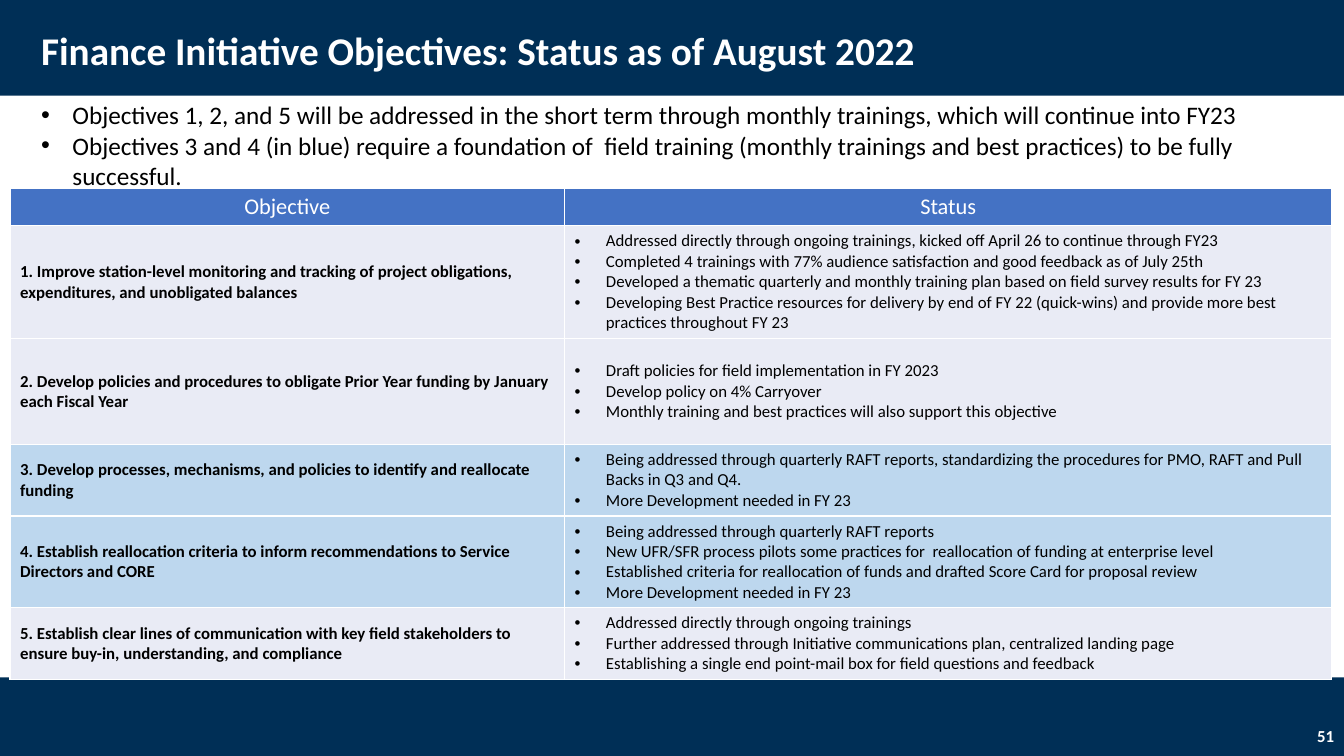
"""Build the finance initiative status slide."""
from dataclasses import dataclass

import pptx
import pptx.dml.color
import pptx.enum.shapes
import pptx.enum.text
import pptx.oxml.ns
import pptx.slide
import pptx.text.text
import pptx.util
from lxml import etree

EMU_PER_PX = 9144
ALIGN = pptx.enum.text.PP_ALIGN
ANCHOR = pptx.enum.text.MSO_ANCHOR


@dataclass(frozen=True)
class Theme:
    """Colours, font and type sizes of the slide."""
    font: str = "Calibri"
    navy: str = "002F56"
    header: str = "4472C4"
    pale: str = "E9EBF5"
    blue: str = "BDD7EE"
    white: str = "FFFFFF"
    black: str = "000000"
    title_size: int = 28
    intro_size: int = 18
    header_size: int = 16
    body_size: int = 12


@dataclass(frozen=True)
class Box:
    """A rectangle in px."""
    left: int
    top: int
    width: int
    height: int

    def emu(self) -> tuple[int, ...]:
        """Return the four lengths in EMU."""
        return tuple(map(px, (self.left, self.top, self.width, self.height)))


@dataclass(frozen=True)
class Objective:
    """One row of the status table."""
    goal: str
    status: tuple[str, ...]
    height: int
    fill: str


THEME = Theme()
SLIDE_WIDTH, SLIDE_HEIGHT = 1333, 750
BANDS = (Box(0, 0, SLIDE_WIDTH, 95), Box(0, 672, SLIDE_WIDTH, 78))
TITLE_BOX = Box(31, 18, 1285, 68)
INTRO_BOX = Box(31, 94, 1269, 101)
NUMBER_BOX = Box(1033, 710, 300, 40)
TABLE_LEFT, TABLE_TOP = 10, 187
COLUMN_WIDTHS = (550, 761)
HEADER_HEIGHT = 37
BULLET_INDENT = 31

INTRO = (
    "Objectives 1, 2, and 5 will be addressed in the short term through monthly trainings, "
    "which will continue into FY23",
    "Objectives 3 and 4 (in blue) require a foundation of  field training (monthly trainings "
    "and best practices) to be fully successful.",
)
OBJECTIVES = (
    Objective(
        "1. Improve station-level monitoring and tracking of project obligations, "
        "expenditures, and unobligated balances",
        ("Addressed directly through ongoing trainings, kicked off April 26 to continue through FY23",
         "Completed 4 trainings with 77% audience satisfaction and good feedback as of July 25th",
         "Developed a thematic quarterly and monthly training plan based on field survey results for FY 23",
         "Developing Best Practice resources for delivery by end of FY 22 (quick-wins) and provide "
         "more best practices throughout FY 23"),
        112, THEME.pale),
    Objective(
        "2. Develop policies and procedures to obligate Prior Year funding by January each Fiscal Year",
        ("Draft policies for field implementation in FY 2023",
         "Develop policy on 4% Carryover",
         "Monthly training and best practices will also support this objective"),
        105, THEME.pale),
    Objective(
        "3. Develop processes, mechanisms, and policies to identify and reallocate funding",
        ("Being addressed through quarterly RAFT reports, standardizing the procedures for PMO, "
         "RAFT and Pull Backs in Q3 and Q4.",
         "More Development needed in FY 23"),
        71, THEME.blue),
    Objective(
        "4. Establish reallocation criteria to inform recommendations to Service Directors and CORE",
        ("Being addressed through quarterly RAFT reports",
         "New UFR/SFR process pilots some practices for  reallocation of funding at enterprise level",
         "Established criteria for reallocation of funds and drafted Score Card for proposal review",
         "More Development needed in FY 23"),
        91, THEME.blue),
    Objective(
        "5. Establish clear lines of communication with key field stakeholders to ensure buy-in, "
        "understanding, and compliance",
        ("Addressed directly through ongoing trainings",
         "Further addressed through Initiative communications plan, centralized landing page",
         "Establishing a single end point-mail box for field questions and feedback"),
        71, THEME.pale),
)


def px(length: int) -> int:
    """Convert px to EMU."""
    return pptx.util.Emu(length * EMU_PER_PX)


def rgb(colour: str) -> pptx.dml.color.RGBColor:
    """Convert a hex string to a colour."""
    return pptx.dml.color.RGBColor.from_string(colour)


def add_bullet(paragraph) -> None:
    """Give a paragraph a hanging round bullet."""
    properties = paragraph._p.get_or_add_pPr()
    properties.set("marL", str(px(BULLET_INDENT)))
    properties.set("indent", str(-px(BULLET_INDENT)))
    qn = pptx.oxml.ns.qn
    etree.SubElement(properties, qn("a:buFont"), typeface="Arial")
    etree.SubElement(properties, qn("a:buChar"), char="•")


def write(frame: pptx.text.text.TextFrame, *lines: str, size: int, colour: str = THEME.black,
          bold: bool = False, bullets: bool = False, align: ALIGN = ALIGN.LEFT,
          spacing: float | None = None) -> None:
    """Fill a text frame with one paragraph per line."""
    frame.word_wrap = True
    for index, line in enumerate(lines):
        paragraph = frame.add_paragraph() if index else frame.paragraphs[0]
        if bullets:
            add_bullet(paragraph)
        paragraph.alignment = align
        if spacing:
            paragraph.line_spacing = spacing
        run = paragraph.add_run()
        run.text = line
        run.font.name = THEME.font
        run.font.size = pptx.util.Pt(size)
        run.font.bold = bold
        run.font.color.rgb = rgb(colour)


def add_band(slide: pptx.slide.Slide, box: Box) -> None:
    """Draw a navy band."""
    band = slide.shapes.add_shape(pptx.enum.shapes.MSO_SHAPE.RECTANGLE, *box.emu())
    band.shadow.inherit = False
    band.fill.solid()
    band.fill.fore_color.rgb = rgb(THEME.navy)
    band.line.fill.background()


def add_text_frame(slide: pptx.slide.Slide, box: Box,
                   anchor: ANCHOR = ANCHOR.MIDDLE) -> pptx.text.text.TextFrame:
    """Add a text box and return its frame."""
    frame = slide.shapes.add_textbox(*box.emu()).text_frame
    frame.vertical_anchor = anchor
    return frame


def fill_cell(cell, colour: str, anchor: ANCHOR) -> pptx.text.text.TextFrame:
    """Colour a cell and return its text frame."""
    cell.fill.solid()
    cell.fill.fore_color.rgb = rgb(colour)
    cell.vertical_anchor = anchor
    return cell.text_frame


def add_status_table(slide: pptx.slide.Slide) -> None:
    """Draw the table of objectives and their status."""
    heights = (HEADER_HEIGHT, *(objective.height for objective in OBJECTIVES))
    box = Box(TABLE_LEFT, TABLE_TOP, sum(COLUMN_WIDTHS), sum(heights))
    table = slide.shapes.add_table(len(heights), len(COLUMN_WIDTHS), *box.emu()).table
    table.horz_banding = False
    for column, width in zip(table.columns, COLUMN_WIDTHS):
        column.width = px(width)
    for row, height in zip(table.rows, heights):
        row.height = px(height)
    for column, heading in enumerate(("Objective", "Status")):
        frame = fill_cell(table.cell(0, column), THEME.header, ANCHOR.TOP)
        write(frame, heading, size=THEME.header_size, colour=THEME.white, align=ALIGN.CENTER)
    for row, objective in enumerate(OBJECTIVES, start=1):
        goal, status = (fill_cell(table.cell(row, column), objective.fill, ANCHOR.MIDDLE)
                        for column in range(2))
        write(goal, objective.goal, size=THEME.body_size, bold=True)
        write(status, *objective.status, size=THEME.body_size, bullets=True)


def main() -> None:
    """Build and save the slide."""
    deck = pptx.Presentation()
    deck.slide_width, deck.slide_height = px(SLIDE_WIDTH), px(SLIDE_HEIGHT)
    slide = deck.slides.add_slide(deck.slide_layouts[6])
    for band in BANDS:
        add_band(slide, band)
    write(add_text_frame(slide, TITLE_BOX), "Finance Initiative Objectives: Status as of August 2022",
          size=THEME.title_size, colour=THEME.white, bold=True, spacing=0.9)
    add_status_table(slide)
    write(add_text_frame(slide, INTRO_BOX, ANCHOR.TOP), *INTRO, size=THEME.intro_size, bullets=True)
    write(add_text_frame(slide, NUMBER_BOX), "51", size=THEME.body_size, colour=THEME.white,
          bold=True, align=ALIGN.RIGHT)
    deck.save("out.pptx")


if __name__ == "__main__":
    main()
